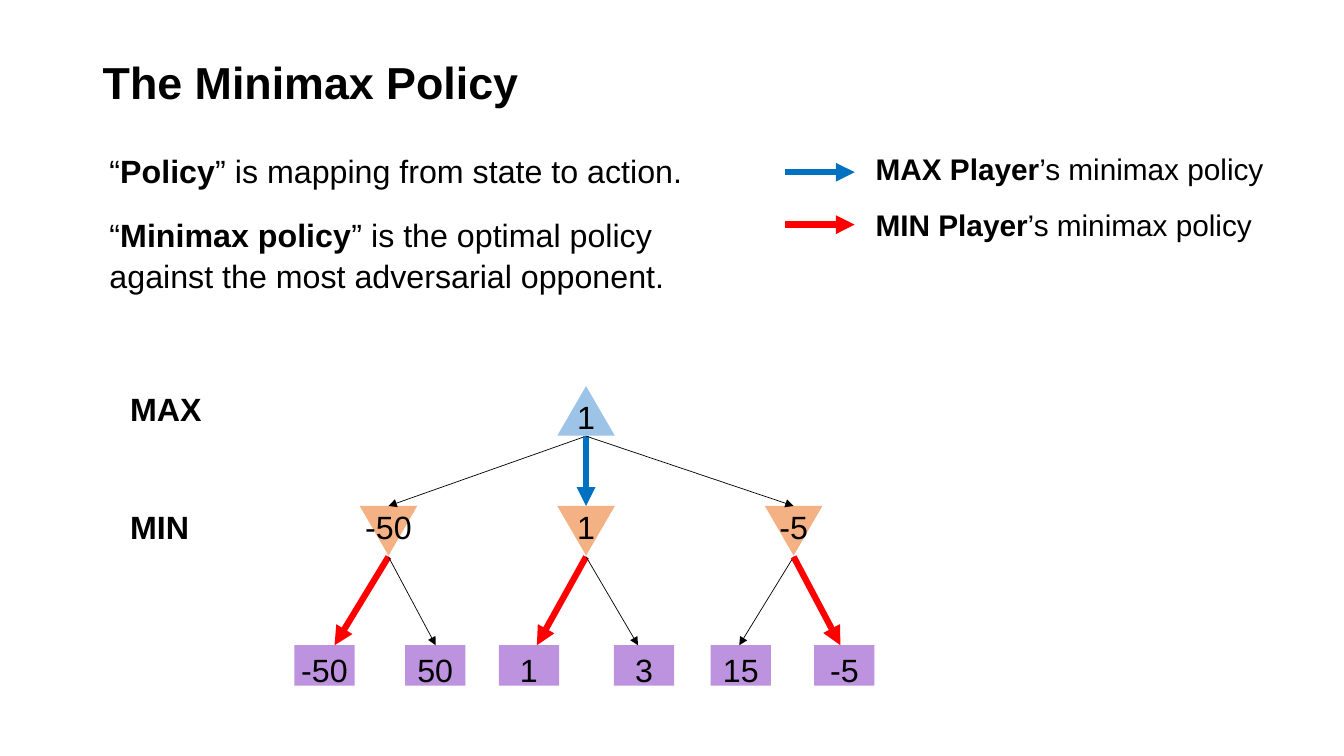
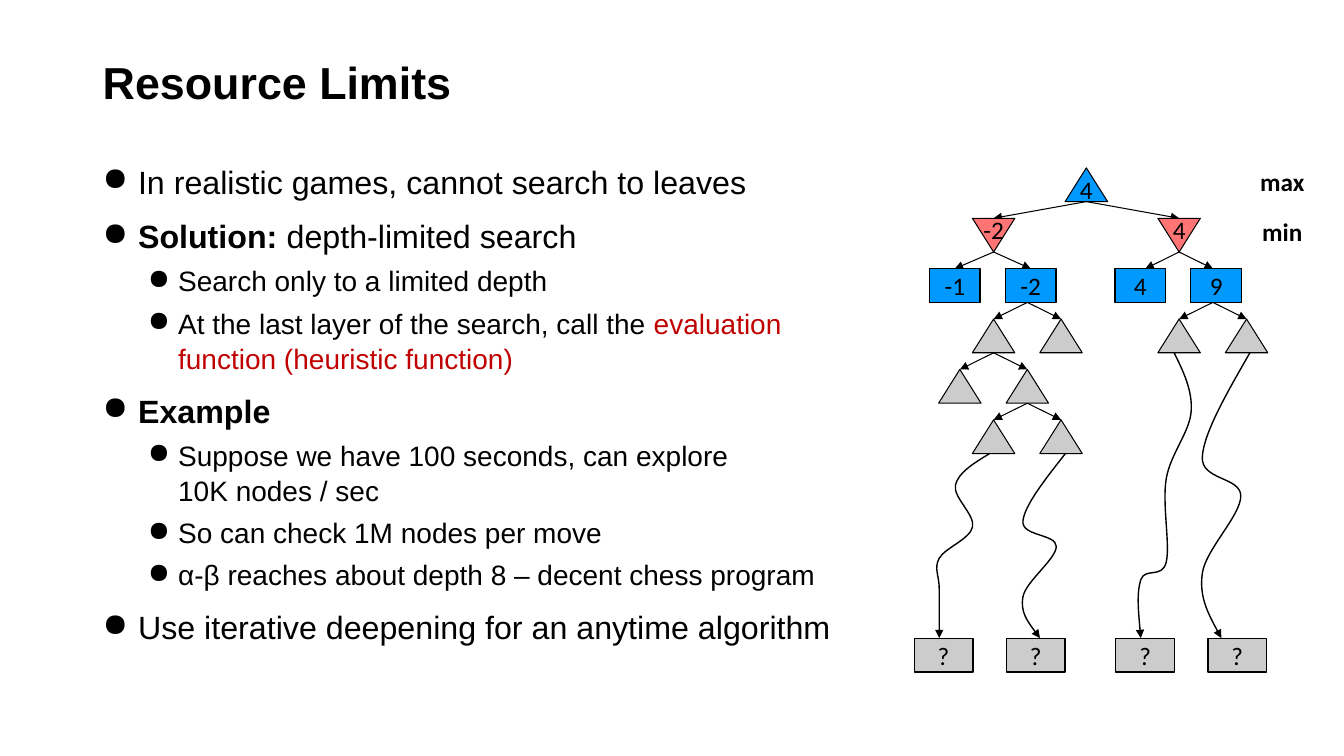
from dataclasses import dataclass

from lxml.etree import SubElement
from pptx import Presentation
from pptx.dml.color import RGBColor
from pptx.enum.shapes import MSO_CONNECTOR, MSO_SHAPE
from pptx.enum.text import MSO_ANCHOR, PP_ALIGN
from pptx.oxml.ns import qn
from pptx.util import Cm, Pt


@dataclass(frozen=True)
class Theme:
    font: str = "Arial"
    tree_font: str = "Calibri"
    text: str = "000000"
    accent: str = "C00000"
    max_policy: str = "0070C0"
    min_policy: str = "FF0000"
    max_node: str = "9DC3E6"
    min_node: str = "F4B183"
    leaf: str = "BD92DE"
    searched: str = "0099FF"
    searched_min: str = "FF7575"
    unsearched: str = "CCCCCC"
    title_size: float = 32
    body_size: float = 23
    legend_size: float = 21.3
    sub_size: float = 20
    tree_size: float = 18
    line_spacing: float = 1.05
    thin: float = 0.5
    medium: float = 0.75
    outline: float = 1
    thick: float = 4.5


THEME = Theme()
TREE_TEXT = dict(size=THEME.tree_size, font=THEME.tree_font, spacing=1)


def rgb(color):
    return RGBColor.from_string(color)


def write(p, text, *, size=THEME.body_size, font=THEME.font, bold=False,
          color=THEME.text, align=PP_ALIGN.LEFT, spacing=THEME.line_spacing):
    """Fill a paragraph from a string or a list of (text, format changes)."""
    p.alignment = align
    p.line_spacing = spacing
    for part, changes in [(text, {})] if isinstance(text, str) else text:
        for i, line in enumerate(part.split("\n")):
            if i:
                p.add_line_break()
            r = p.add_run()
            r.text = line
            r.font.name = font
            r.font.size = Pt(size)
            r.font.bold = changes.get("bold", bold)
            r.font.color.rgb = rgb(changes.get("color", color))


def add_text(slide, text, left, top, width, height, anchor=MSO_ANCHOR.TOP, **fmt):
    tf = slide.shapes.add_textbox(Cm(left), Cm(top), Cm(width), Cm(height)).text_frame
    tf.word_wrap = True
    tf.vertical_anchor = anchor
    write(tf.paragraphs[0], text, **fmt)
    return tf


def add_title(slide, text):
    add_text(slide, text, 2.34, 1.02, 29.21, 2.26, MSO_ANCHOR.MIDDLE,
             size=THEME.title_size, bold=True, spacing=0.9)


def add_bullets(tf, items):
    """Write (level, text) items as a two-level bulleted list."""
    for i, (level, text) in enumerate(items):
        p = tf.add_paragraph() if i else tf.paragraphs[0]
        margin, hanging, before, size = [
            (0.89, 0.89, 10, THEME.body_size), (1.9, 0.76, 5, THEME.sub_size)][level]
        p.level = level
        pPr = p._p.get_or_add_pPr()
        pPr.set("marL", str(Cm(margin)))
        pPr.set("indent", str(-Cm(hanging)))
        SubElement(pPr, qn("a:buChar")).set("char", "●")
        if i:
            p.space_before = Pt(before)
        write(p, text, size=size)


def add_node(slide, preset, center, top, width, height, fill, label="", *,
             line=None, down=False, insets=(0, 0), **fmt):
    """Draw a tree node; down turns it over and keeps its label upright."""
    sp = slide.shapes.add_shape(preset, Cm(center - width / 2), Cm(top),
                                Cm(width), Cm(height))
    sp.shadow.inherit = False
    sp.fill.solid()
    sp.fill.fore_color.rgb = rgb(fill)
    if line:
        sp.line.color.rgb = rgb(THEME.text)
        sp.line.width = Pt(line)
    else:
        sp.line.fill.background()
    if down:
        sp.rotation = 180
    if label:
        tf = sp.text_frame
        tf.word_wrap = False
        tf.vertical_anchor = MSO_ANCHOR.MIDDLE
        tf.margin_top, tf.margin_bottom = map(Cm, insets)
        if down:
            tf._txBody.bodyPr.set("rot", "10800000")
        write(tf.paragraphs[0], label, align=PP_ALIGN.CENTER, **fmt)


def style_arrow(line, color, width):
    line.color.rgb = rgb(color)
    line.width = Pt(width)
    SubElement(line._get_or_add_ln(), qn("a:tailEnd")).set("type", "triangle")


def add_arrow(slide, x1, y1, x2, y2, color=THEME.text, width=THEME.thin):
    connector = slide.shapes.add_connector(MSO_CONNECTOR.STRAIGHT,
                                           Cm(x1), Cm(y1), Cm(x2), Cm(y2))
    style_arrow(connector.line, color, width)
    SubElement(connector._element.spPr, qn("a:effectLst"))


def add_curved_arrow(slide, knots):
    """Draw a smooth arrow whose tangents follow the neighbours of each knot."""
    start, *rest = [(Cm(x), Cm(y)) for x, y in knots]
    builder = slide.shapes.build_freeform(*start)
    builder.add_line_segments(rest, close=False)
    sp = builder.convert_to_shape()
    sp.shadow.inherit = False
    sp.fill.background()
    style_arrow(sp.line, THEME.text, THEME.outline)

    pts = [(int(pt.get("x")), int(pt.get("y"))) for pt in sp._element.iter(qn("a:pt"))]
    last = len(pts) - 1

    def control(i, sign):
        return tuple(k + sign * (b - a) / 6
                     for a, k, b in zip(pts[i - 1], pts[i], pts[i + 1]))

    def middle(a, b):
        return tuple((m + n) / 2 for m, n in zip(a, b))

    for i, segment in enumerate(list(sp._element.iter(qn("a:lnTo")))):
        c1 = control(i, 1) if i else None
        c2 = control(i + 1, -1) if i + 1 < last else middle(c1, pts[last])
        c1 = c1 or middle(pts[0], c2)
        curve = SubElement(segment.getparent(), qn("a:cubicBezTo"))
        for x, y in (c1, c2, pts[i + 1]):
            pt = SubElement(curve, qn("a:pt"))
            pt.set("x", str(round(x)))
            pt.set("y", str(round(y)))
        segment.getparent().replace(segment, curve)


def draw_policy_tree(slide):
    """Draw the game tree; a move is policy when it keeps its parent's value."""
    triangle = dict(preset=MSO_SHAPE.ISOSCELES_TRIANGLE, width=1.45, height=1.25)
    root_x, root_top, min_top, leaf_top = 14.77, 9.73, 12.75, 16.26
    root_value = "1"
    subtrees = [
        (9.79, "-50", [(8.18, "-50"), (10.97, "50")]),
        (14.77, "1", [(13.33, "1"), (16.23, "3")]),
        (20.0, "-5", [(18.67, "15"), (21.28, "-5")]),
    ]

    def add_move(x1, y1, x2, y2, is_policy, color):
        style = (color, THEME.thick) if is_policy else ()
        add_arrow(slide, x1, y1, x2, y2, *style)

    add_node(slide, center=root_x, top=root_top, fill=THEME.max_node,
             label=root_value, insets=(0.1, 0.5), **triangle)
    for i, (x, value, leaves) in enumerate(subtrees):
        add_node(slide, center=x, top=min_top, fill=THEME.min_node, label=value,
                 down=True, insets=(0.48, 0.13), **triangle)
        add_move(root_x, 10.99, x, min_top, value == root_value, THEME.max_policy)
        for j, (leaf_x, leaf) in enumerate(leaves):
            add_node(slide, MSO_SHAPE.RECTANGLE, leaf_x, leaf_top, 1.52, 1.02,
                     THEME.leaf, leaf, insets=(0.15, 0))
            tip = 8.43 + 2.55 * (2 * i + j)
            add_move(x, 14.03, tip, leaf_top, leaf == value, THEME.min_policy)


def draw_search_tree(slide):
    """Draw the depth-limited tree on a grid of columns and rows."""
    step, width, height = 1.27, 1.07, 0.85

    def col(c):
        return 24.19 + 0.85 * c

    def row(r):
        return 4.23 + step * r

    def add_triangle(c, r, fill=THEME.unsearched, **options):
        add_node(slide, MSO_SHAPE.ISOSCELES_TRIANGLE, col(c), row(r), width, height,
                 fill, line=THEME.medium, **options)

    moves = {
        (3.75, 0): (1, 6.5),
        (1, 1): (-0.15, 2.1), (6.5, 1): (5.5, 7.5),
        (2, 2): (1, 3), (7.5, 2): (6.5, 8.5),
        (1, 3): (0, 2),
        (2, 4): (1, 3),
    }
    for (c, r), children in moves.items():
        for child in children:
            add_arrow(slide, col(c), row(r) + height, col(child), row(r + 1),
                      width=THEME.medium)
            if r >= 2:
                add_triangle(child, r + 1)

    add_triangle(3.75, 0, THEME.searched, label="4", insets=(0, 0.18), **TREE_TEXT)
    for c, value in ((1, "-2"), (6.5, "4")):
        add_triangle(c, 1, THEME.searched_min, label=value, down=True,
                     insets=(0.25, 0.13), **TREE_TEXT)
    for c, value in ((-0.15, "-1"), (2.1, "-2"), (5.35, "4"), (7.6, "9")):
        add_node(slide, MSO_SHAPE.RECTANGLE, col(c), row(2), 1.28, height,
                 THEME.searched, value, line=THEME.outline, **TREE_TEXT)

    for center in (23.78, 26.1, 28.86, 31.18):
        add_node(slide, MSO_SHAPE.RECTANGLE, center, 16.09, 1.48, height,
                 THEME.unsearched, "?", line=THEME.outline, **TREE_TEXT)
    for knots in (
        [(24.94, 11.43), (24.08, 12.22), (24.51, 13.28), (23.67, 14.07),
         (23.67, 14.83), (23.67, 16.08)],
        [(26.85, 11.43), (25.78, 13.13), (26.62, 13.77), (25.78, 15.04),
         (26.21, 16.08)],
        [(31.5, 8.89), (30.3, 11.51), (31.27, 12.5), (30.3, 14.45),
         (30.78, 16.08)],
        [(29.59, 8.89), (30.02, 10.36), (29.39, 12.07), (29.39, 14.17),
         (28.75, 14.61), (28.75, 16.08)],
    ):
        add_curved_arrow(slide, knots)

    for r, player in enumerate(("max", "min")):
        add_text(slide, player, 31.39, 4.06 + step * r, 1.85, 1.02, MSO_ANCHOR.MIDDLE,
                 bold=True, align=PP_ALIGN.CENTER, **TREE_TEXT)


def build_minimax_policy(slide):
    add_title(slide, "The Minimax Policy")
    bold = {"bold": True}
    for top, height, term, rest in (
        (3.63, 1.85, "Policy", "” is mapping from state to action."),
        (5.26, 2.44, "Minimax policy",
         "” is the optimal policy against the most adversarial opponent."),
    ):
        add_text(slide, [("“", {}), (term, bold), (rest, {})], 2.51, top, 16.1, height)
    for player, top, arrow_y, color in (
        ("MAX", 3.63, 4.34, THEME.max_policy),
        ("MIN", 5.05, 5.66, THEME.min_policy),
    ):
        add_arrow(slide, 19.78, arrow_y, 21.54, arrow_y, color, THEME.thick)
        add_text(slide, [(f"{player} Player", bold), ("’s minimax policy", {})],
                 21.82, top, 10.69, 1.85, size=THEME.legend_size)
    for player, top in (("MAX", 9.63), ("MIN", 12.62)):
        add_text(slide, player, 3.03, top, 3.33, 1.85, bold=True)
    draw_policy_tree(slide)


def build_resource_limits(slide):
    add_title(slide, "Resource Limits")
    bold = {"bold": True}
    tf = add_text(slide, [], 2.34, 3.91, 20.24, 13.23)
    add_bullets(tf, [
        (0, "In realistic games, cannot search to leaves"),
        (0, [("Solution:", bold), (" depth-limited search", {})]),
        (1, "Search only to a limited depth"),
        (1, [("At the last layer of the search, call the ", {}),
             ("evaluation function (heuristic function)", {"color": THEME.accent})]),
        (0, [("Example", bold)]),
        (1, "Suppose we have 100 seconds, can explore\n10K nodes / sec"),
        (1, "So can check 1M nodes per move"),
        (1, "α-β reaches about depth 8 – decent chess program"),
        (0, "Use iterative deepening for an anytime algorithm"),
    ])
    draw_search_tree(slide)


def main():
    prs = Presentation()
    prs.slide_width, prs.slide_height = Cm(33.87), Cm(19.05)
    for build in (build_minimax_policy, build_resource_limits):
        build(prs.slides.add_slide(prs.slide_layouts[6]))
    prs.save("out.pptx")


if __name__ == "__main__":
    main()
